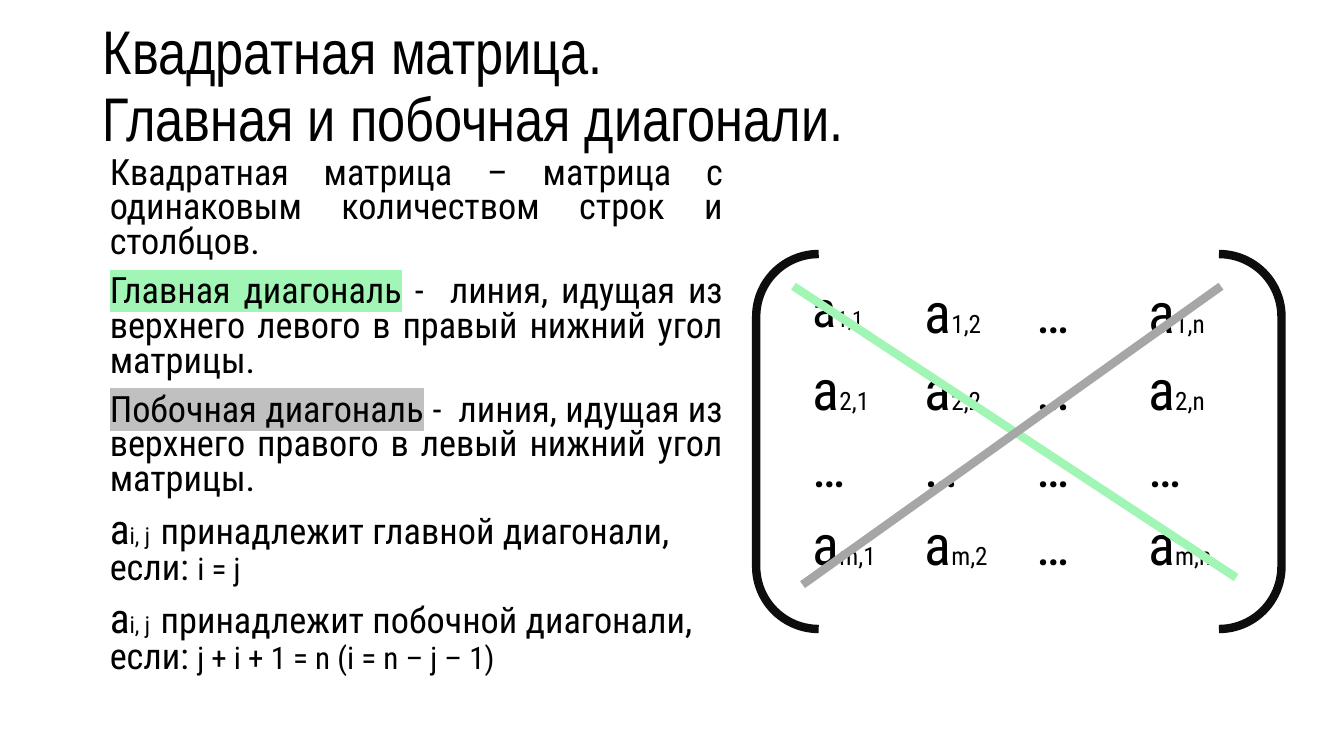
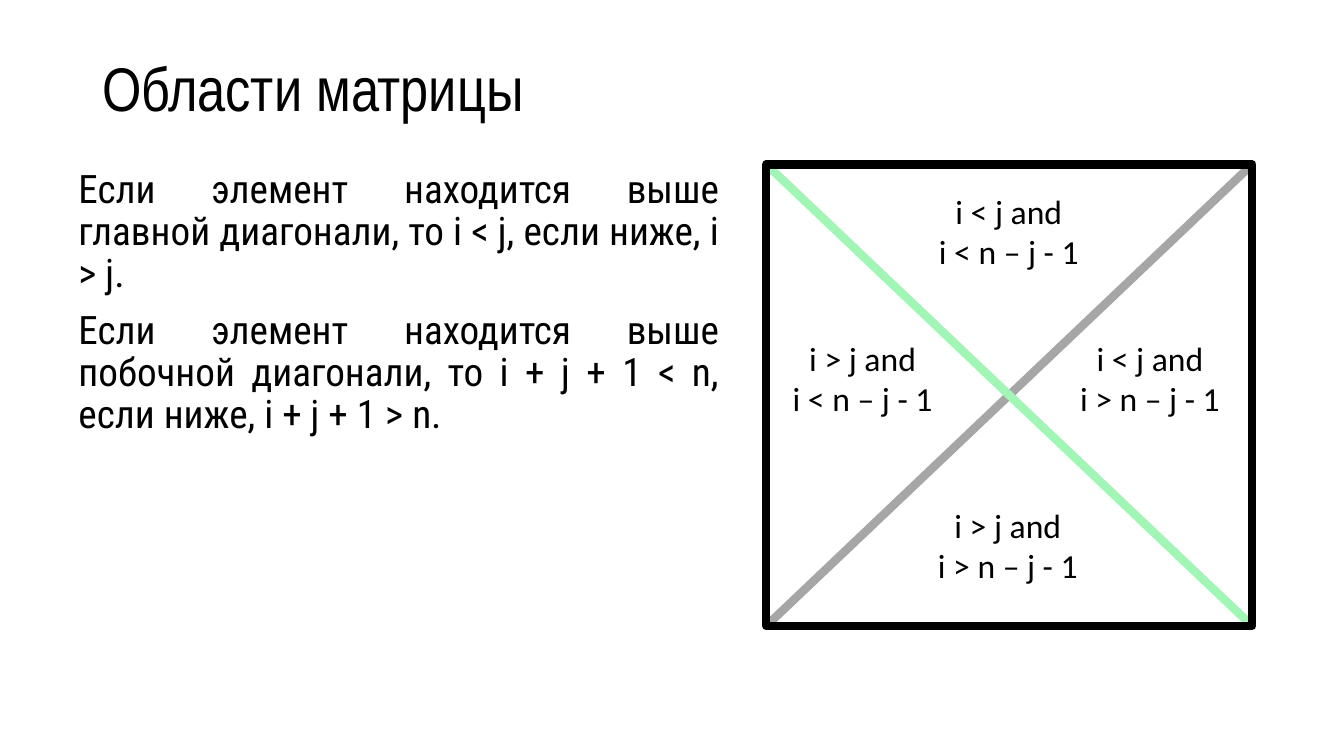
from dataclasses import dataclass
from typing import NamedTuple

from lxml import etree
from pptx import Presentation
from pptx import util as u
from pptx.dml.color import RGBColor
from pptx.enum import shapes, text
from pptx.oxml import ns
from pptx.slide import Slide


@dataclass(frozen=True)
class Theme:
    ink: str = "000000"
    bracket: str = "0D0D0D"
    main: str = "A1F5B5"
    side: str = "A6A6A6"
    side_mark: str = "C0C0C0"
    title_font: str = "Arial Narrow"
    body_font: str = "Roboto Condensed"
    region_font: str = "Calibri"
    title: float = 44
    definition: float = 25.9
    symbol: float = 29.6
    index: float = 16.6
    formula: float = 22.2
    body: float = 28
    region: float = 24
    first_element: float = 36
    first_index: float = 16
    element: float = 40
    element_index: float = 18
    stroke: float = 6


THEME = Theme()


class Box(NamedTuple):
    left: float
    top: float
    width: float
    height: float

    def lengths(self) -> list[u.Length]:
        return [u.Inches(value) for value in self]


class Piece(NamedTuple):
    words: str
    size: float | None = None
    mark: str | None = None


class Style(NamedTuple):
    font: str
    size: float
    align: text.PP_ALIGN = text.PP_ALIGN.LEFT
    spacing: float = 1.0
    before: float = 0


class Region(NamedTuple):
    left: float
    top: float
    conditions: tuple[str, str]


TITLE = Style(THEME.title_font, THEME.title, spacing=0.9)
DEFINITION = Style(THEME.body_font, THEME.definition, text.PP_ALIGN.JUSTIFY, 0.8, 10)
RULE = DEFINITION._replace(align=text.PP_ALIGN.LEFT)
BODY = Style(THEME.body_font, THEME.body, text.PP_ALIGN.JUSTIFY, 0.9, 10)
REGION = Style(THEME.region_font, THEME.region, text.PP_ALIGN.CENTER)
ELEMENT = Style(THEME.body_font, THEME.element)


def tag_pen(line, color: str) -> None:
    line.color.rgb = RGBColor.from_string(color)
    line.width = u.Pt(THEME.stroke)


def style_paragraph(paragraph, style: Style) -> None:
    paragraph.alignment = style.align
    paragraph.line_spacing = style.spacing
    paragraph.space_before = u.Pt(style.before)
    paragraph.font.name = style.font
    paragraph.font.size = u.Pt(style.size)
    paragraph.font.color.rgb = RGBColor.from_string(THEME.ink)


def write_pieces(paragraph, pieces: list[Piece], style: Style) -> None:
    style_paragraph(paragraph, style)
    for piece in pieces:
        run = paragraph.add_run()
        run.text = piece.words
        if piece.size:
            run.font.size = u.Pt(piece.size)
        if piece.mark:
            highlight = etree.SubElement(run._r.get_or_add_rPr(), ns.qn("a:highlight"))
            etree.SubElement(highlight, ns.qn("a:srgbClr"), val=piece.mark)


def add_text(slide: Slide, box: Box, paragraphs: list[tuple[list[Piece], Style]]) -> None:
    frame = slide.shapes.add_textbox(*box.lengths()).text_frame
    frame.word_wrap = True
    for number, (pieces, style) in enumerate(paragraphs):
        paragraph = frame.add_paragraph() if number else frame.paragraphs[0]
        write_pieces(paragraph, pieces, style)


def add_title(slide: Slide, top: float, lines: list[str]) -> None:
    frame = slide.shapes.add_textbox(*Box(0.92, top, 11.5, 1.45).lengths()).text_frame
    frame.word_wrap = True
    frame.vertical_anchor = text.MSO_ANCHOR.MIDDLE
    heading = frame.paragraphs[0]
    style_paragraph(heading, TITLE)
    for number, line in enumerate(lines):
        if number:
            heading.add_line_break()
        heading.add_run().text = line


def add_diagonal(slide: Slide, start: tuple[float, float], end: tuple[float, float], color: str) -> None:
    diagonal = slide.shapes.add_connector(
        shapes.MSO_CONNECTOR.STRAIGHT, *(u.Inches(value) for value in start + end)
    )
    tag_pen(diagonal.line, color)
    etree.SubElement(diagonal._element.spPr, ns.qn("a:effectLst"))


def add_outline(slide: Slide, kind: shapes.MSO_SHAPE, box: Box, color: str) -> None:
    outline = slide.shapes.add_shape(kind, *box.lengths())
    outline.shadow.inherit = False
    outline.fill.background()
    tag_pen(outline.line, color)


def element_pieces(row: str, column: str) -> list[Piece]:
    if "…" in (row, column):
        return [Piece("…")]
    first = row == column == "1"
    return [
        Piece("a", THEME.first_element if first else None),
        Piece(f"{row},{column}", THEME.first_index if first else THEME.element_index),
    ]


def add_matrix(slide: Slide, box: Box) -> None:
    rows, columns = ("1", "2", "…", "m"), ("1", "2", "…", "n")
    matrix = slide.shapes.add_table(len(rows), len(columns), *box.lengths()).table
    matrix.first_row = False
    matrix.horz_banding = False
    for r, row in enumerate(rows):
        matrix.rows[r].height = u.Inches(0.74)
        for c, column in enumerate(columns):
            cell = matrix.cell(r, c)
            cell.fill.background()
            write_pieces(cell.text_frame.paragraphs[0], element_pieces(row, column), ELEMENT)


def belonging_rule(diagonal: str, condition: str) -> list[Piece]:
    return [
        Piece("a", THEME.symbol),
        Piece("i, j  ", THEME.index),
        Piece(f"принадлежит {diagonal} диагонали, если: "),
        Piece(condition, THEME.formula),
    ]


def build_diagonals(slide: Slide) -> None:
    add_title(slide, 0.15, ["Квадратная матрица.", "Главная и побочная диагонали."])
    add_text(slide, Box(0.99, 1.51, 6.28, 5.55), [
        ([Piece("Квадратная матрица – матрица с одинаковым количеством строк и столбцов.")], DEFINITION),
        ([
            Piece("Главная диагональ", mark=THEME.main),
            Piece(" -  линия, идущая из верхнего левого в правый нижний угол матрицы."),
        ], DEFINITION),
        ([
            Piece("Побочная диагональ", mark=THEME.side_mark),
            Piece(" -  линия, идущая из верхнего правого в левый нижний угол матрицы."),
        ], DEFINITION),
        (belonging_rule("главной", "i = j"), RULE),
        (belonging_rule("побочной", "j + i + 1 = n (i = n – j – 1)"), RULE),
    ])
    add_matrix(slide, Box(7.96, 2.74, 4.44, 2.96))
    add_outline(slide, shapes.MSO_SHAPE.DOUBLE_BRACKET, Box(7.5, 2.52, 5.21, 3.72), THEME.bracket)
    add_diagonal(slide, (7.87, 2.84), (12.26, 5.73), THEME.main)
    add_diagonal(slide, (12.11, 2.84), (7.96, 5.8), THEME.side)


def build_regions(slide: Slide) -> None:
    add_title(slide, 0.18, ["Области матрицы"])
    add_text(slide, Box(0.68, 1.63, 6.55, 5.12), [
        ([Piece("Если элемент находится выше главной диагонали, то i < j, если ниже, i > j.")], BODY),
        ([Piece("Если элемент находится выше побочной диагонали, то i + j + 1 < n, если ниже, i + j + 1 > n.")], BODY),
    ])
    square = Box(7.6, 1.63, 4.82, 4.58)
    right, bottom = square.left + square.width, square.top + square.height
    add_diagonal(slide, (right, square.top), (square.left, bottom), THEME.side)
    add_diagonal(slide, (square.left, square.top), (right, bottom), THEME.main)
    add_outline(slide, shapes.MSO_SHAPE.RECTANGLE, square, THEME.ink)
    regions = [
        Region(9.08, 1.84, ("i < j and", "i < n – j - 1")),
        Region(9.07, 4.96, ("i > j and", "i > n – j - 1")),
        Region(7.63, 3.3, ("i > j and", "i < n – j - 1")),
        Region(10.48, 3.3, ("i < j and", "i > n – j - 1")),
    ]
    for region in regions:
        add_text(
            slide,
            Box(region.left, region.top, 1.85, 0.91),
            [([Piece(condition)], REGION) for condition in region.conditions],
        )


def main() -> None:
    deck = Presentation()
    deck.slide_width, deck.slide_height = u.Inches(13.33), u.Inches(7.5)
    blank = deck.slide_layouts[6]
    for build in (build_diagonals, build_regions):
        build(deck.slides.add_slide(blank))
    deck.save("out.pptx")


if __name__ == "__main__":
    main()
